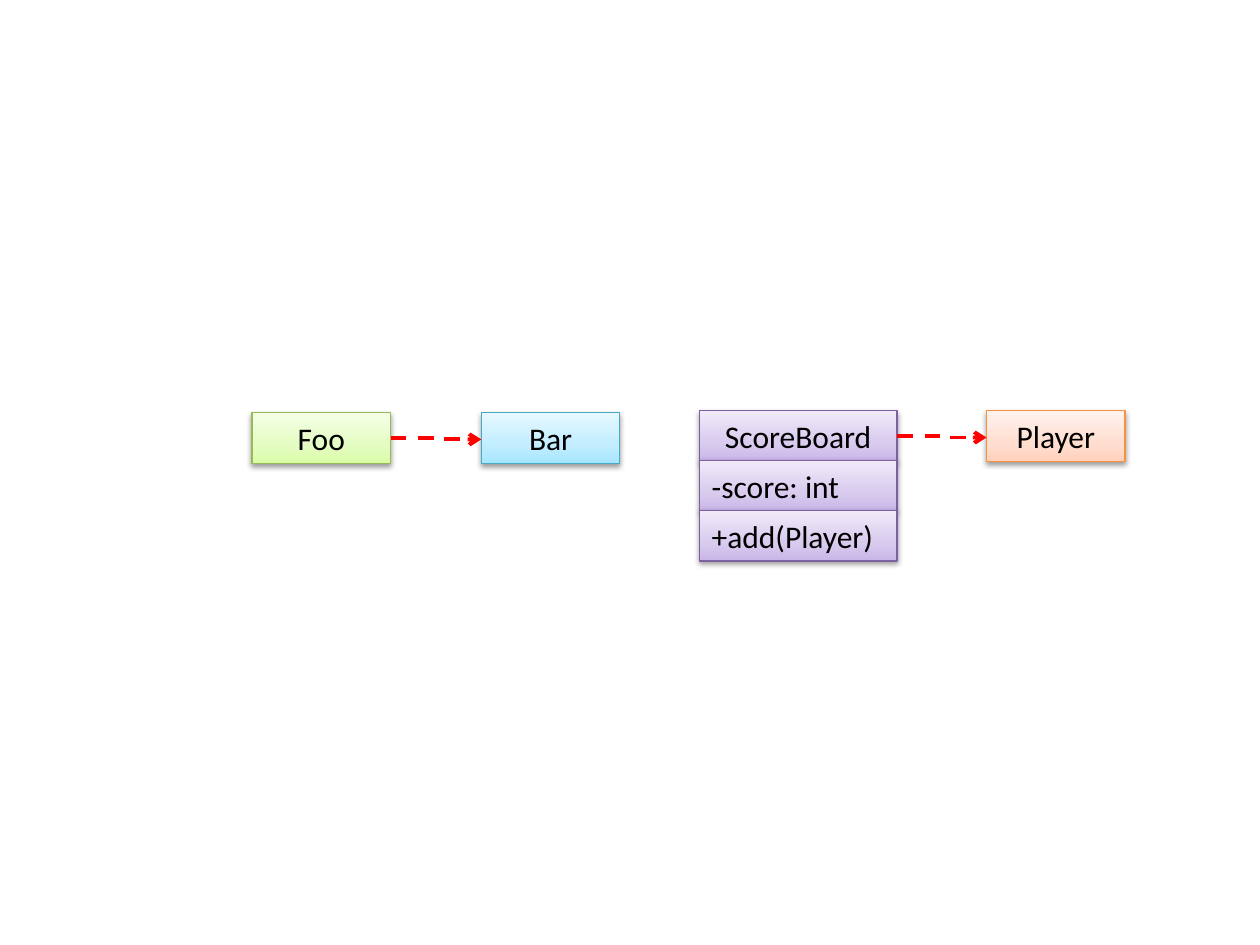
from dataclasses import dataclass

from lxml.etree import SubElement
from pptx import Presentation
from pptx.dml.color import RGBColor as RGB
from pptx.enum.dml import MSO_LINE
from pptx.enum.shapes import MSO_CONNECTOR as CONN, MSO_SHAPE as SHAPE
from pptx.enum.text import MSO_ANCHOR as ANCHOR, MSO_AUTO_SIZE as AUTO, PP_ALIGN as ALIGN
from pptx.oxml.ns import qn
from pptx.util import Inches, Pt

WIDTH, HEIGHT = Inches(10), Inches(7.5)


@dataclass(frozen=True)
class Theme:
    font: str = "Calibri"
    size: float = 18
    text: str = "000000"
    arrow: str = "FF0000"
    outline: float = 0.75
    arrow_width: float = 2.25
    green: tuple = ("98B955", "DAFDA7", "E4FCC2", "F5FFE7")
    blue: tuple = ("46AAC5", "A7E6FF", "C1EDFF", "E7F8FF")
    purple: tuple = ("7D60A0", "C9B5E8", "D8CBEE", "F0EAF9")
    orange: tuple = ("F69240", "FFD2BD", "FFDED0", "FFF2ED")


THEME = Theme()


def px(percent):
    return round(WIDTH * percent / 100)


def py(percent):
    return round(HEIGHT * percent / 100)


def node(parent, tag, **attrs):
    return SubElement(parent, qn(tag), {k: str(v) for k, v in attrs.items()})


def write(tf, text, size=THEME.size, color=THEME.text, align=ALIGN.CENTER):
    tf.word_wrap = True
    tf.auto_size = AUTO.SHAPE_TO_FIT_TEXT
    tf.vertical_anchor = ANCHOR.MIDDLE
    p = tf.paragraphs[0]
    p.alignment = align
    r = p.add_run()
    r.text = text
    r.font.name = THEME.font
    r.font.size = Pt(size)
    r.font.color.rgb = RGB.from_string(color)


def fill_gradient(sp, colors):
    sp.fill.gradient()
    sp.fill.gradient_angle = 90
    stops = sp._element.spPr.find(qn("a:gradFill")).find(qn("a:gsLst"))
    for old in list(stops):
        stops.remove(old)
    for position, color in zip((0, 35, 100), colors):
        gs = node(stops, "a:gs", pos=position * 1000)
        node(gs, "a:srgbClr", val=color)


def add_shadow(sp):
    sp.shadow.inherit = False
    effects = sp._element.spPr.find(qn("a:effectLst"))
    shadow = node(effects, "a:outerShdw", blurRad=Pt(3.15), dist=Pt(1.57),
                  dir=5400000, rotWithShape=0)
    color = node(shadow, "a:srgbClr", val="000000")
    node(color, "a:alpha", val=38000)


def add_box(slide, text, left, top, width, colors, height=5.37, **fmt):
    sp = slide.shapes.add_shape(SHAPE.RECTANGLE, px(left), py(top), px(width), py(height))
    outline, *gradient = colors
    fill_gradient(sp, gradient)
    sp.line.color.rgb = RGB.from_string(outline)
    sp.line.width = Pt(THEME.outline)
    add_shadow(sp)
    write(sp.text_frame, text, **fmt)
    return sp


def add_dependency(slide, source, target, drop=0.17):
    y = source.top + source.height // 2
    cxn = slide.shapes.add_connector(
        CONN.ELBOW, source.left + source.width, y, target.left, y + py(drop))
    cxn.line.color.rgb = RGB.from_string(THEME.arrow)
    cxn.line.width = Pt(THEME.arrow_width)
    cxn.line.dash_style = MSO_LINE.DASH
    node(cxn.line._get_or_add_ln(), "a:tailEnd", type="arrow")
    node(cxn._element.spPr, "a:effectLst")


def add_class(slide, name, members, left, top, width, colors, pitch=5.27):
    header = add_box(slide, name, left, top, width, colors)
    for row, member in enumerate(members, 1):
        add_box(slide, member, left, top + row * pitch, width, colors, align=ALIGN.LEFT)
    return header


def main():
    prs = Presentation()
    prs.slide_width, prs.slide_height = WIDTH, HEIGHT
    slide = prs.slides.add_slide(prs.slide_layouts[6])

    foo = add_box(slide, "Foo", 20, 43.65, 11, THEME.green)
    bar = add_box(slide, "Bar", 38.2, 43.65, 11, THEME.blue)
    add_dependency(slide, foo, bar)

    board = add_class(slide, "ScoreBoard", ("-score: int", "+add(Player)"),
                      55.5, 43.45, 15.7, THEME.purple)
    player = add_box(slide, "Player", 78.3, 43.45, 11, THEME.orange)
    add_dependency(slide, board, player)

    prs.save("out.pptx")


if __name__ == "__main__":
    main()
